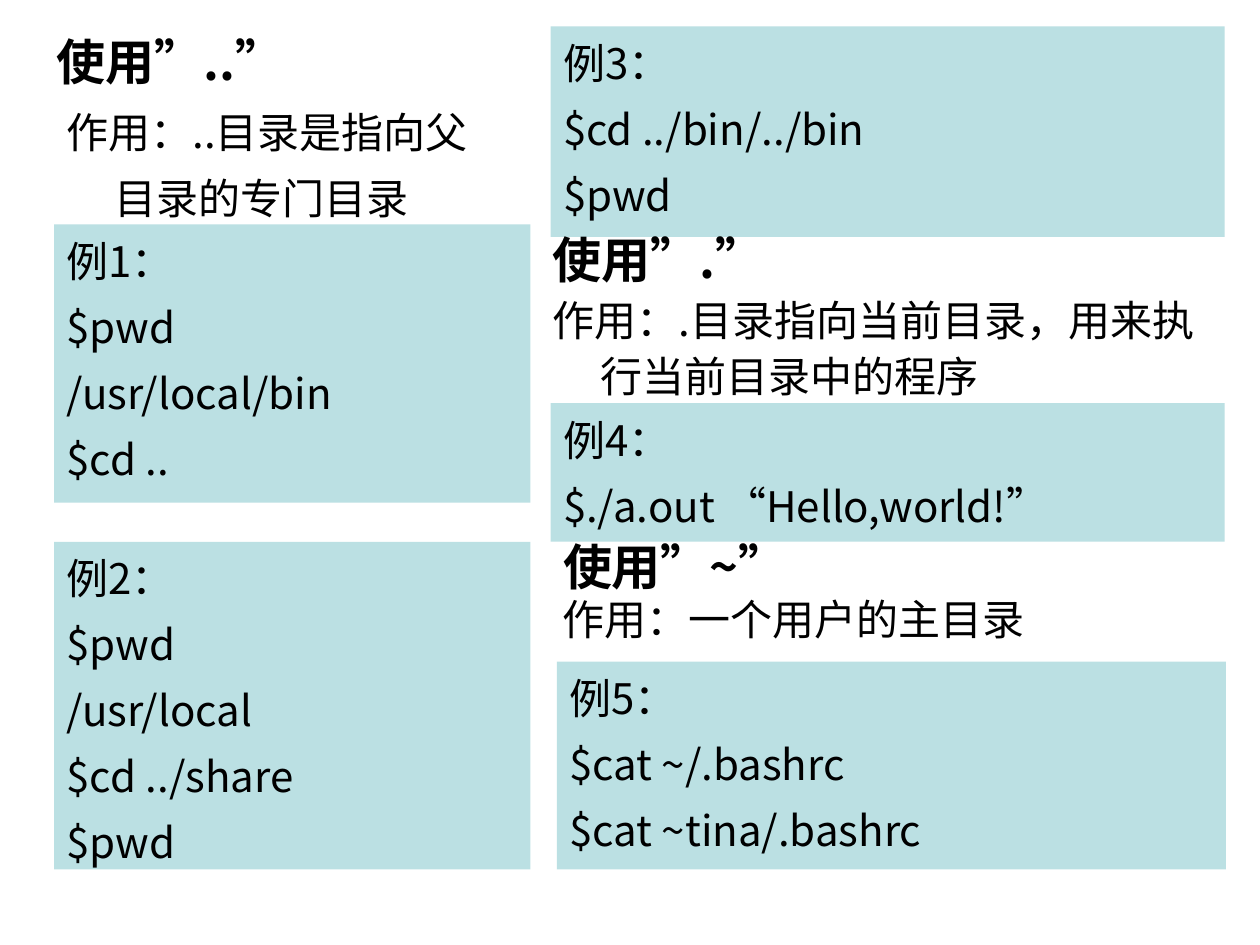
import pptx
import pptx.util
import pptx.dml.color
import pptx.enum.lang
import pptx.enum.shapes
import pptx.enum.text
import pptx.oxml.ns
from dataclasses import dataclass
from lxml import etree

COLS, ROWS = 100, 75
LEFT, RIGHT = 4.3, 43.7
NARROW, WIDE = 37.8, 53.5


@dataclass(frozen=True)
class Theme:
    font: str = "Noto Sans CJK SC"
    ink: str = "000000"
    panel: str = "BBE0E3"
    head: int = 28
    body: int = 24
    lead: float = 1.1
    gap: int = 6
    hang: float = 0.38


def write(frame, lines, theme, size, bold=False, hang=0, lead=None, gap=0,
          anchor=pptx.enum.text.MSO_ANCHOR.TOP):
    """Fill a frame; lines after a tab mark start at the hanging indent."""
    frame.word_wrap = True
    frame.vertical_anchor = anchor
    for i, line in enumerate(lines):
        para = frame.paragraphs[0] if i == 0 else frame.add_paragraph()
        para.alignment = pptx.enum.text.PP_ALIGN.LEFT
        para.line_spacing = lead
        para.space_before = pptx.util.Pt(gap if i else 0)
        if hang:
            props = para._p.get_or_add_pPr()
            inset = pptx.util.Inches(hang)
            props.set("marL", str(inset))
            props.set("indent", str(0 if line.startswith("\t") else -inset))
        run = para.add_run()
        run.text = line.lstrip("\t")
        font = run.font
        font.size = pptx.util.Pt(size)
        font.bold = bold
        font.name = theme.font
        font.language_id = pptx.enum.lang.MSO_LANGUAGE_ID.SIMPLIFIED_CHINESE
        font.color.rgb = pptx.dml.color.RGBColor.from_string(theme.ink)
        east = etree.SubElement(run._r.get_or_add_rPr(), pptx.oxml.ns.qn("a:ea"))
        east.set("typeface", theme.font)


class Board:
    """Holds the theme and the slide; places are columns and rows."""

    def __init__(self, deck, theme):
        self.theme = theme
        self.slide = deck.slides.add_slide(deck.slide_layouts[6])
        self.col = deck.slide_width / COLS
        self.row = deck.slide_height / ROWS

    def place(self, x, y, w, h):
        return (round(x * self.col), round(y * self.row),
                round(w * self.col), round(h * self.row))

    def head(self, text, *area):
        box = self.slide.shapes.add_textbox(*self.place(*area))
        write(box.text_frame, [text], self.theme, self.theme.head, bold=True,
              anchor=pptx.enum.text.MSO_ANCHOR.MIDDLE)

    def body(self, frame, lines):
        theme = self.theme
        write(frame, lines, theme, theme.body, hang=theme.hang,
              lead=theme.lead, gap=theme.gap)

    def note(self, lines, *area):
        box = self.slide.shapes.add_textbox(*self.place(*area))
        self.body(box.text_frame, lines)

    def panel(self, lines, *area):
        rect = self.slide.shapes.add_shape(
            pptx.enum.shapes.MSO_SHAPE.RECTANGLE, *self.place(*area))
        rect.shadow.inherit = False
        rect.fill.solid()
        rect.fill.fore_color.rgb = pptx.dml.color.RGBColor.from_string(
            self.theme.panel)
        rect.line.fill.background()
        self.body(rect.text_frame, lines)


def main():
    deck = pptx.Presentation()
    deck.slide_width = pptx.util.Inches(10)
    deck.slide_height = pptx.util.Inches(7.5)
    board = Board(deck, Theme())

    board.head("使用”..”", 3.5, 1.3, 90.6, 7.1)
    board.note(["作用：..目录是指向父", "\t目录的专门目录"], LEFT, 7.6, 38.6, 9.4)
    board.panel(["例1：", "$pwd", "/usr/local/bin", "$cd .."],
                LEFT, 17.8, NARROW, 22.1)
    board.panel(["例2：", "$pwd", "/usr/local", "$cd ../share", "$pwd"],
                LEFT, 43, NARROW, 26)

    board.panel(["例3：", "$cd ../bin/../bin", "$pwd"], RIGHT, 2.1, WIDE, 16.7)
    board.head("使用”.”", 42.9, 17.8, NARROW, 5.5)
    board.note(["作用：.目录指向当前目录，用来执行当前目录中的程序"],
               42.9, 22.5, 54.3, 9.4)
    board.panel(["例4：", "$./a.out “Hello,world!”"], RIGHT, 32, WIDE, 11)
    board.head("使用”~”", RIGHT, 42.2, NARROW, 5.5)
    board.note(["作用：一个用户的主目录"], RIGHT, 46.2, 54.3, 6.3)
    board.panel(["例5：", "$cat ~/.bashrc", "$cat ~tina/.bashrc"],
                44.2, 52.5, 53.1, 16.5)

    deck.save("out.pptx")


if __name__ == "__main__":
    main()
